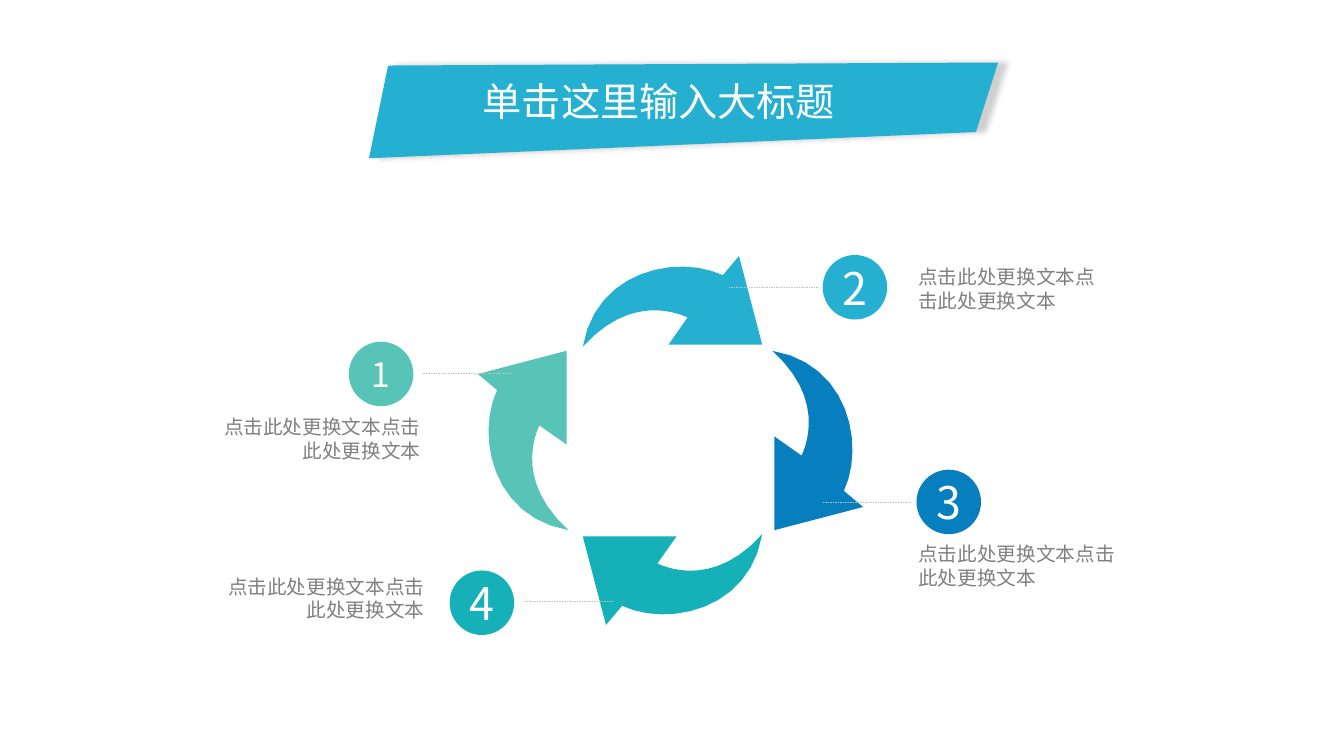
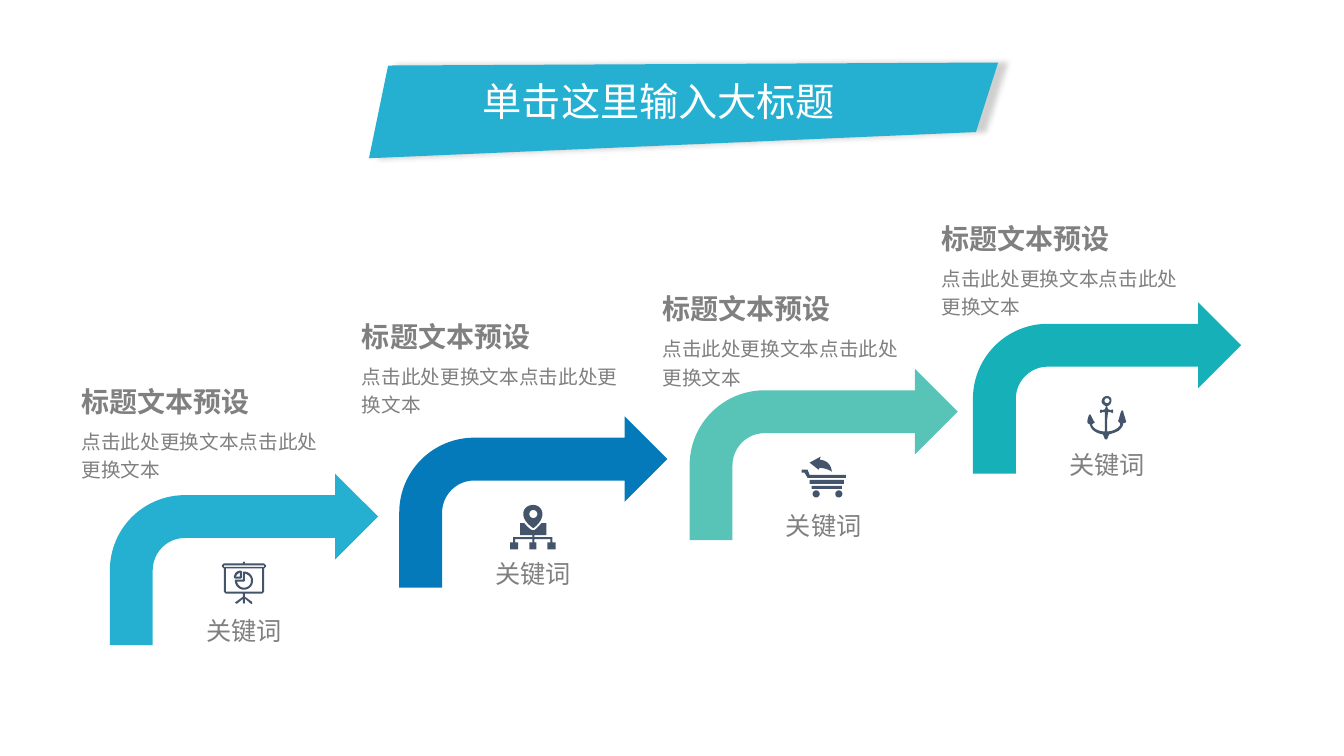
"""Build two slides: a cycle of four arrows and a rising row of four steps."""
import dataclasses

import lxml.etree
import pptx
import pptx.dml.color
import pptx.enum.dml
import pptx.enum.shapes
import pptx.enum.text
import pptx.oxml.ns
import pptx.util

Inches = pptx.util.Inches
Pt = pptx.util.Pt
qn = pptx.oxml.ns.qn
SHAPE = pptx.enum.shapes.MSO_SHAPE
ALIGN = pptx.enum.text.PP_ALIGN
ANCHOR = pptx.enum.text.MSO_ANCHOR


@dataclasses.dataclass(frozen=True)
class Theme:
    """Colours, font and type sizes of the deck."""
    sky: str = "25B0D2"
    blue: str = "077FBF"
    deep: str = "047ABA"
    teal: str = "15B0B8"
    mint: str = "58C4B8"
    ink: str = "44546A"
    grey: str = "808080"
    rule: str = "C2C2C2"
    white: str = "FFFFFF"
    font: str = "Noto Sans CJK SC"
    title: int = 28
    number: int = 32
    small_number: int = 24
    heading: int = 20
    keyword: int = 18
    body: int = 14


def rgb(value):
    """Turn a hex string into a colour."""
    return pptx.dml.color.RGBColor.from_string(value)


def disc(x, y, r):
    """Describe a circle as an outline string."""
    k = 0.55 * r
    return (f"{x + r},{y} {x + r},{y + k},{x + k},{y + r},{x},{y + r} "
            f"{x - k},{y + r},{x - r},{y + k},{x - r},{y} "
            f"{x - r},{y - k},{x - k},{y - r},{x},{y - r} "
            f"{x + k},{y - r},{x + r},{y - k},{x + r},{y}")


def trace(outline, pieces=12):
    """Turn an outline of points and cubic curves, in 1/100 inch, into points."""
    points = []
    for step in outline.split():
        values = [float(v) for v in step.split(",")]
        if len(values) == 2:
            points.append(tuple(values))
            continue
        controls = [points[-1], *zip(values[::2], values[1::2])]
        for i in range(1, pieces + 1):
            t = i / pieces
            weights = ((1 - t) ** 3, 3 * t * (1 - t) ** 2, 3 * t * t * (1 - t), t ** 3)
            points.append(tuple(sum(w * c[axis] for w, c in zip(weights, controls))
                                for axis in (0, 1)))
    return [(Inches(x / 100), Inches(y / 100)) for x, y in points]


class Deck:
    """Holds the style and the current slide."""

    def __init__(self, theme):
        """Open an empty widescreen deck."""
        self.theme = theme
        self.show = pptx.Presentation()
        self.show.slide_width = Inches(13.33)
        self.show.slide_height = Inches(7.5)
        self.slide = None

    def new_slide(self, title):
        """Add a slide with its title banner."""
        self.slide = self.show.slides.add_slide(self.show.slide_layouts[6])
        banner = self.outline([BANNER], 3.66, 0.62, self.theme.sky)
        effects = banner._element.spPr.find(qn("a:effectLst"))
        shadow = lxml.etree.SubElement(effects, qn("a:outerShdw"), blurRad=str(Pt(4)),
                                       dist=str(Pt(6)), dir="0", algn="l", rotWithShape="0")
        black = lxml.etree.SubElement(shadow, qn("a:srgbClr"), val="000000")
        lxml.etree.SubElement(black, qn("a:alpha"), val="19000")
        self.text(title, (4.69, 0.72, 3.74, 0.57), self.theme.title, self.theme.white,
                  insets=(0.1, 0.05), word_wrap=False)

    def paint(self, shape, colour):
        """Give a shape a flat fill without line or shadow."""
        shape.shadow.inherit = False
        shape.fill.solid()
        shape.fill.fore_color.rgb = rgb(colour)
        shape.line.fill.background()
        return shape

    def outline(self, contours, left, top, colour, rotation=0):
        """Draw a filled outline of one or more contours."""
        traced = [trace(contour) for contour in contours]
        builder = self.slide.shapes.build_freeform(*traced[0][0], scale=1.0)
        for i, points in enumerate(traced):
            if i:
                builder.move_to(*points[0])
            builder.add_line_segments(points[1:], close=True)
        shape = builder.convert_to_shape(Inches(left), Inches(top))
        shape.rotation = rotation
        return self.paint(shape, colour)

    def shape(self, kind, box, colour):
        """Draw a filled preset shape."""
        return self.paint(self.slide.shapes.add_shape(kind, *map(Inches, box)), colour)

    def badge(self, number, left, top, size, colour):
        """Draw a numbered circle."""
        circle = self.shape(SHAPE.OVAL, (left, top, 0.64, 0.64), colour)
        self.set_text(circle.text_frame, number, size, self.theme.white,
                      align=ALIGN.CENTER, vertical_anchor=ANCHOR.MIDDLE, word_wrap=False)

    def leader(self, left, y):
        """Draw a thin dashed leader line."""
        line = self.slide.shapes.add_connector(
            pptx.enum.shapes.MSO_CONNECTOR.STRAIGHT,
            Inches(left), Inches(y), Inches(left + 0.88), Inches(y))
        line.line.color.rgb = rgb(self.theme.rule)
        line.line.width = Pt(0.25)
        line.line.dash_style = pptx.enum.dml.MSO_LINE.DASH
        lxml.etree.SubElement(line._element.spPr, qn("a:effectLst"))

    def text(self, words, box, size, colour=None, **style):
        """Place a text box."""
        frame = self.slide.shapes.add_textbox(*map(Inches, box)).text_frame
        self.set_text(frame, words, size, colour or self.theme.grey, **style)

    def set_text(self, frame, words, size, colour, insets=(0, 0), align=ALIGN.LEFT,
                 spacing=None, bold=False, **frame_format):
        """Fill a text frame with one formatted paragraph."""
        across, down = map(Inches, insets)
        paragraph = frame.paragraphs[0]
        run = paragraph.add_run()
        run.text = words
        formats = (
            (frame, {"word_wrap": True, "margin_left": across, "margin_right": across,
                     "margin_top": down, "margin_bottom": down, **frame_format}),
            (paragraph, {"alignment": align, "line_spacing": spacing}),
            (run.font, {"size": Pt(size), "bold": bold, "name": self.theme.font}),
        )
        for target, values in formats:
            for name, value in values.items():
                setattr(target, name, value)
        run.font.color.rgb = rgb(colour)
        lxml.etree.SubElement(run.font._element, qn("a:ea"), typeface=self.theme.font)


BANNER = "19,3 0,95 602,69 624,0"
CYCLE_ARROW = ("155,0 178,88 85,88 104,61 91,55,46,39,0,90 "
               "13,14,94,-2,139,19")
BOARD = (
    "22,0 23,1 23,2 42,2 44,4 44,5 42,7 42,30 40,32 23,32 23,35 30,40 30,42 29,42 "
    "23,37 23,41 22,42 21,41 21,37 15,42 13,41 14,40 21,35 21,32 4,32 2,30 2,7 0,5 "
    "0,4 2,2 21,2 21,1",
    "2,4 42,4 42,5.5 2,5.5",
    "4,7 40,7 40,30 4,30",
    "22,10 27,10,31,14,31,19 31,24,27,28,22,28 17,28,13,24,13,19 13,18 21,18 21,10",
    "23,12 23,19 22,20 15,20 16,23,18,26,22,26 26,26,29,23,29,19 29,15,26,13,23,12",
    "19,9 20,10 20,16 19,17 13,17 12,16 12,12,15,9,19,9",
    "18,11 16,12,15,13,14,15 18,15",
)
SITES = (
    "10,18 14,18 17,22,21,25,22,25 24,25 24,25,28,22,31,18 36,18 36,30 24,30 24,32 "
    "42,32 42,37 45,37 45,44 37,44 37,37 40,37 40,34 24,34 24,37 26,37 26,44 19,44 "
    "19,37 22,37 22,34 5,34 5,37 8,37 8,44 0,44 0,37 3,37 3,32 22,32 22,30 10,30",
    "23,0 28,0,32,4,32,9 32,17,23,23,23,23 23,23,13,17,13,9 13,4,17,0,23,0",
    disc(23, 9, 4),
)
CART = (
    "0,13 6,13 8,18 44,18 44,21 6,21 3,16 0,16",
    "8,23 42,23 42,27 8,27",
    "10,29 40,29 40,32 10,32",
    "19,0 18,3 30,4,30,15,30,15 30,15,27,12,18,11 17,13 8,6",
    disc(14.5, 37, 3.5),
    disc(37, 37, 3.5),
)
MOORING = (
    "39,25 38,22,37,19,36,15 36,14,35,14,34,15 33,18,32,22,31,25 33,27 33,29 "
    "30,33,25,35,20,35 20,25 21,16 24,16 25,17 26,16 26,14 25,13 24,14 21,13 20,10 "
    "24,9,25,5,24,2 22,-1,16,-1,15,4 14,6,15,8,19,10 18,13 15,14 15,13,13,13,13,15 "
    "13,17,14,17,15,16 18,16 18,35 12,35,7,33,5,28 8,26 7,25 6,23,5,21,4,19 "
    "4,18,2,18,2,19 1,22,0,25,1,27 3,28 4,34,10,37,16,38 18,43 20,43 22,38 "
    "25,37,29,36,32,34 35,31,36,29,36,27 39,26",
    disc(20, 4.5, 2.5),
)
TITLE = "单击这里输入大标题"
NOTE = "点击此处更换文本点击此处更换文本"

theme = Theme()
deck = Deck(theme)

deck.new_slide(TITLE)
stages = (
    ("2", theme.number, theme.sky, (5.78, 2.54), 0, (7.23, 2.85), (8.16, 2.53),
     (9.01, 2.63, 1.96), ALIGN.LEFT),
    ("3", theme.number, theme.blue, (7.22, 3.92), 90, (8.16, 4.98), (9.09, 4.66),
     (9.01, 5.38, 2.28), ALIGN.LEFT),
    ("4", theme.number, theme.teal, (5.78, 5.3), 180, (5.2, 5.96), (4.46, 5.66),
     (1.99, 5.7, 2.32), ALIGN.RIGHT),
    ("1", theme.small_number, theme.mint, (4.3, 3.92), 270, (4.2, 3.7), (3.46, 3.39),
     (1.99, 4.12, 2.28), ALIGN.RIGHT),
)
for number, size, colour, arrow, turn, leader, badge, note, align in stages:
    deck.outline([CYCLE_ARROW], *arrow, colour, turn)
    deck.leader(*leader)
    deck.badge(number, *badge, size, colour)
    deck.text(NOTE, (*note, 0.72), theme.body, insets=(0.1, 0), align=align)

deck.new_slide(TITLE)
steps = (
    (theme.sky, (1.09, 4.7), BOARD, (2.2, 5.57), (0.81, 4.22, 2.45)),
    (theme.deep, (3.96, 4.13), SITES, (5.06, 5.01), (3.59, 3.57, 2.55)),
    (theme.mint, (6.84, 3.66), CART, (7.95, 4.53), (6.57, 3.3, 2.35)),
    (theme.teal, (9.65, 3), MOORING, (10.78, 3.93), (9.34, 2.6, 2.5)),
)
for colour, arrow, icon, icon_at, note in steps:
    deck.shape(SHAPE.BENT_ARROW, (*arrow, 2.66, 1.7), colour)
    deck.outline(icon, *icon_at, theme.ink)
    deck.text("关键词", (arrow[0] + 0.47, icon_at[1] + 0.27, 1.72, 0.82), theme.keyword,
              align=ALIGN.CENTER, vertical_anchor=ANCHOR.MIDDLE, word_wrap=False)
    deck.text(NOTE, (*note, 0.61), theme.body, spacing=1.2)
    deck.text("标题文本预设", (note[0], note[1] - 0.47, 2.89, 0.3), theme.heading,
              spacing=1.2, bold=True, word_wrap=False)

deck.show.save("out.pptx")
